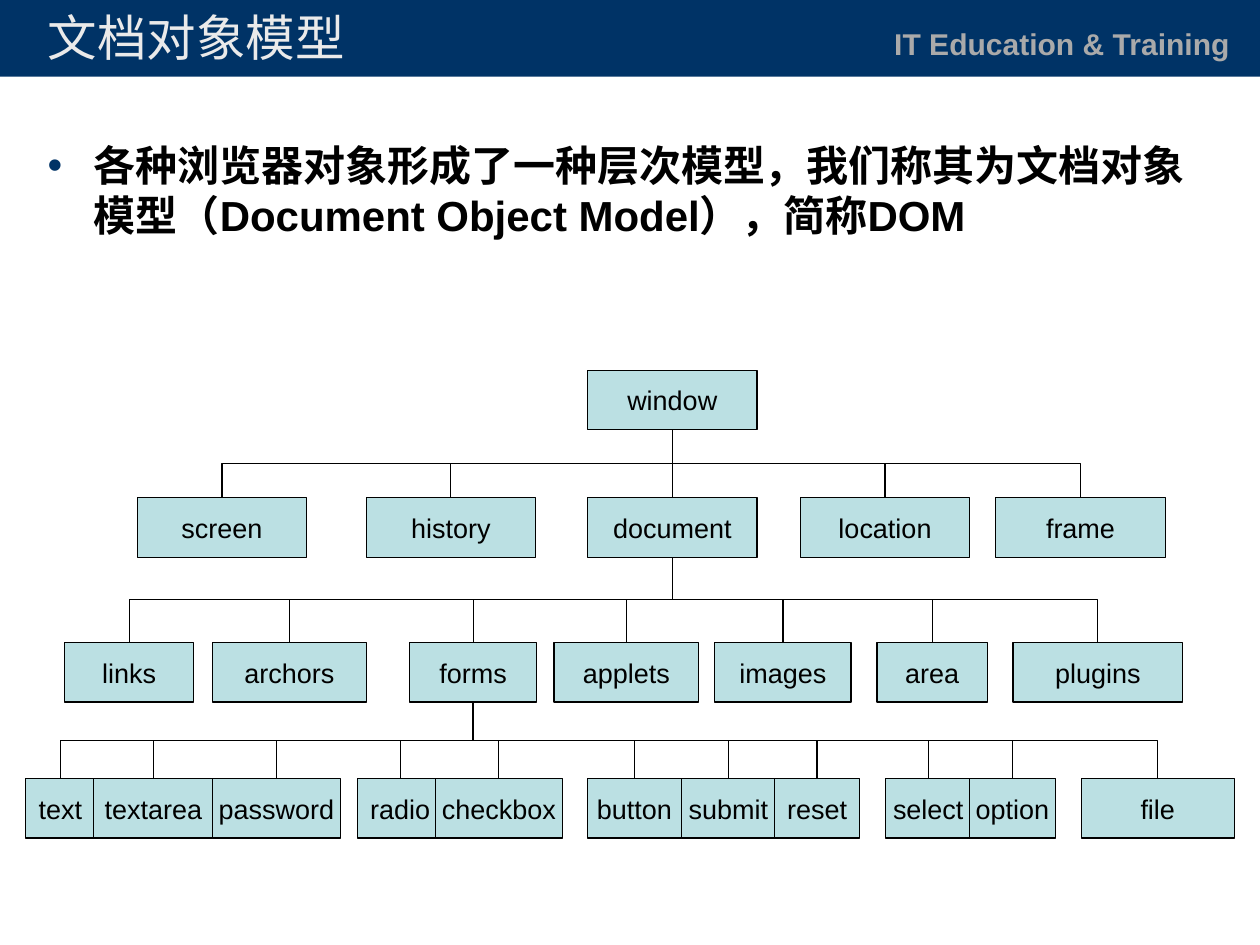
from lxml import etree
from pptx import Presentation
from pptx.dml import color
from pptx.enum import shapes, text
from pptx.oxml import ns
from pptx.util import Inches, Pt

NAVY, BLACK, PALE_TEAL = "003366", "000000", "BBE0E3"
BOX_HEIGHT = 0.55
INTRO = "各种浏览器对象形成了一种层次模型，我们称其为文档对象模型（Document Object Model），简称DOM"
LEVELS = [
    (3.43, None, [("window", 5.44, 1.57)]),
    (4.61, "window", [("screen", 1.27, 1.57), ("history", 3.39, 1.57),
                      ("document", 5.44, 1.57), ("location", 7.41, 1.57),
                      ("frame", 9.22, 1.57)]),
    (5.95, "document", [("links", 0.6, 1.19), ("archors", 1.97, 1.42),
                        ("forms", 3.79, 1.18), ("applets", 5.13, 1.34),
                        ("images", 6.62, 1.26), ("area", 8.12, 1.02),
                        ("plugins", 9.38, 1.57)]),
    (7.21, "forms", [("text", 0.24, 0.64), ("textarea", 0.87, 1.1),
                     ("password", 1.97, 1.18), ("radio", 3.31, 0.79),
                     ("checkbox", 4.03, 1.18), ("button", 5.44, 0.87),
                     ("submit", 6.31, 0.87), ("reset", 7.17, 0.79),
                     ("select", 8.2, 0.79), ("option", 8.98, 0.79),
                     ("file", 10.01, 1.42)]),
]


def rgb(value):
    return color.RGBColor.from_string(value)


def place(shape, left, top, width, height):
    shape.left, shape.top = Inches(left), Inches(top)
    shape.width, shape.height = Inches(width), Inches(height)


def write(shape, words, size, ink, align, anchor, inset, bold=False, wrap=True):
    frame = shape.text_frame
    frame.text = words
    frame.word_wrap = wrap
    frame.auto_size = text.MSO_AUTO_SIZE.NONE
    frame.vertical_anchor = anchor
    frame.margin_left = frame.margin_right = Inches(inset)
    frame.margin_top = frame.margin_bottom = Inches(inset / 2)
    paragraph = frame.paragraphs[0]
    paragraph.alignment = align
    paragraph.space_before = Pt(0)
    font = paragraph.runs[0].font
    font.name, font.size, font.bold = "Arial", Pt(size), bold
    font.color.rgb = rgb(ink)
    return paragraph


def add_rectangle(slide, left, top, width, height, fill):
    rectangle = slide.shapes.add_shape(
        shapes.MSO_SHAPE.RECTANGLE, Inches(left), Inches(top), Inches(width), Inches(height))
    rectangle.shadow.inherit = False
    rectangle.fill.solid()
    rectangle.fill.fore_color.rgb = rgb(fill)
    return rectangle


def add_node(slide, name, left, top, width):
    node = add_rectangle(slide, left, top, width, BOX_HEIGHT, PALE_TEAL)
    node.line.color.rgb = rgb(BLACK)
    node.line.width = Pt(0.75)
    write(node, name, 18, BLACK, text.PP_ALIGN.CENTER, text.MSO_ANCHOR.MIDDLE, 0.1, wrap=False)
    return node


def add_branch(slide, parent, child):
    start_x, end_x = (box.left + box.width // 2 for box in (parent, child))
    start_y, end_y = parent.top + parent.height, child.top
    across, down = end_x - start_x, end_y - start_y
    kind = shapes.MSO_CONNECTOR.ELBOW if across else shapes.MSO_CONNECTOR.STRAIGHT
    branch = slide.shapes.add_connector(kind, start_x, start_y, end_x, end_y)
    branch.begin_connect(parent, 2)
    branch.end_connect(child, 0)
    properties = branch._element.spPr
    if across:
        xfrm = properties.find(ns.qn("a:xfrm"))
        xfrm.attrib.pop("flipH", None)
        xfrm.set("rot", "5400000" if across < 0 else "16200000")
        if across > 0:
            xfrm.set("flipH", "1")
        branch.width, branch.height = down, abs(across)
        branch.left = (start_x + end_x - down) // 2
        branch.top = (start_y + end_y - abs(across)) // 2
    branch.line.color.rgb = rgb(BLACK)
    branch.line.width = Pt(0.75)
    etree.SubElement(properties, ns.qn("a:effectLst"))


def add_bullet(paragraph, hue, indent):
    properties = paragraph._p.get_or_add_pPr()
    properties.set("marL", str(Inches(indent)))
    properties.set("indent", str(-Inches(indent)))
    bullet_color = etree.SubElement(properties, ns.qn("a:buClr"))
    etree.SubElement(bullet_color, ns.qn("a:srgbClr"), val=hue)
    etree.SubElement(properties, ns.qn("a:buFont"), typeface="Arial")
    etree.SubElement(properties, ns.qn("a:buChar"), char="•")


def add_header(slide):
    banner = add_rectangle(slide, 0, 0, 11.68, 0.71, NAVY)
    banner.line.fill.background()
    slide.shapes._spTree.insert(2, banner._element)
    motto = slide.shapes.add_textbox(Inches(8.17), Inches(0.18), Inches(3.42), Inches(0.44))
    write(motto, "IT Education & Training", 20, "AAAAAA", text.PP_ALIGN.LEFT,
          text.MSO_ANCHOR.TOP, 0.11, bold=True)
    title = slide.shapes.title
    place(title, 0.32, 0, 7.9, 0.68)
    write(title, "文档对象模型", 33, "EAEAEA", text.PP_ALIGN.LEFT, text.MSO_ANCHOR.MIDDLE, 0.12)


def add_intro(slide):
    intro = slide.placeholders[1]
    place(intro, 0.32, 1.23, 11.02, 1.05)
    paragraph = write(intro, INTRO, 28, BLACK, text.PP_ALIGN.LEFT,
                      text.MSO_ANCHOR.TOP, 0.12, bold=True)
    add_bullet(paragraph, NAVY, 0.43)


def add_object_tree(slide):
    nodes = {}
    for top, parent, children in LEVELS:
        for name, left, width in children:
            nodes[name] = add_node(slide, name, left, top, width)
            if parent:
                add_branch(slide, nodes[parent], nodes[name])


def main():
    deck = Presentation()
    deck.slide_height = Inches(8.75)
    deck.slide_width = deck.slide_height * 4 // 3
    slide = deck.slides.add_slide(deck.slide_layouts[1])
    add_header(slide)
    add_intro(slide)
    add_object_tree(slide)
    deck.save("out.pptx")


if __name__ == "__main__":
    main()
